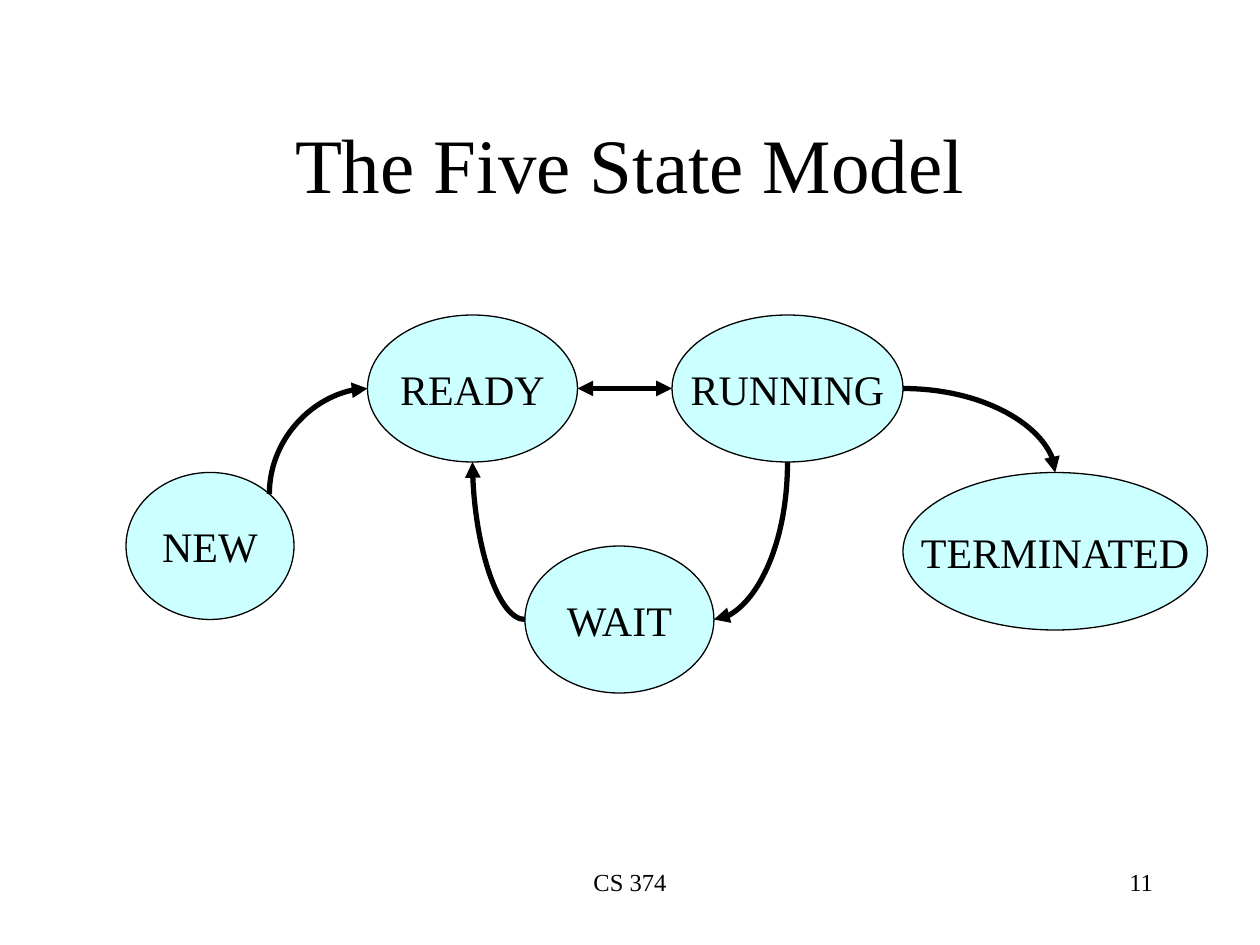
from math import cos, pi, sin

from lxml.etree import SubElement
from pptx import Presentation
from pptx.dml.color import RGBColor
from pptx.enum.shapes import MSO_CONNECTOR as CXN, MSO_SHAPE as SHAPE
from pptx.enum.text import MSO_ANCHOR as ANCHOR, MSO_AUTO_SIZE as FIT, PP_ALIGN as ALIGN
from pptx.oxml.ns import qn
from pptx.util import Inches, Pt

# Grid of 120 columns by 90 rows, each cell 1/12 inch
COLS, ROWS = 120, 90
FONT, BLACK, CYAN = "Times New Roman", "000000", "CCFFFF"

STATES = {  # column, row, width, height
    "NEW": (12, 45, 16, 14),
    "READY": (35, 30, 20, 14),
    "RUNNING": (64, 30, 22, 14),
    "WAIT": (50, 52, 18, 14),
    "TERMINATED": (86, 45, 29, 15),
}
# Angles of the points on an ellipse, clockwise from the right
RIGHT, BOTTOM, LEFT, TOP, TOP_RIGHT = 0, 90, 180, 270, 315
BENDS = [  # start state and point, end state and point, first heading
    ("NEW", TOP_RIGHT, "READY", LEFT, 270),
    ("RUNNING", BOTTOM, "WAIT", RIGHT, 90),
    ("WAIT", LEFT, "READY", BOTTOM, 180),
    ("RUNNING", RIGHT, "TERMINATED", TOP, 0),
]


def rgb(color):
    return RGBColor.from_string(color)


def grid(*cells):
    return [Inches(c / 12) for c in cells]


def write(tf, text, size=24, align=ALIGN.CENTER, anchor=ANCHOR.MIDDLE, wrap=True):
    tf.auto_size = FIT.NONE
    tf.word_wrap = wrap
    tf.vertical_anchor = anchor
    p = tf.paragraphs[0]
    p.alignment = align
    r = p.add_run()
    r.text = text
    r.font.size, r.font.name = Pt(size), FONT
    r.font.color.rgb = rgb(BLACK)


def add_title(s, box, text):
    title = s.shapes.title
    title.left, title.top, title.width, title.height = grid(*box)
    write(title.text_frame, text, size=44)


def add_footer(s, box, text, align):
    tb = s.shapes.add_textbox(*grid(*box))
    write(tb.text_frame, text, size=14, align=align, anchor=ANCHOR.TOP)


def add_state(s, box, name):
    sp = s.shapes.add_shape(SHAPE.OVAL, *grid(*box))
    sp.shadow.inherit = False
    sp.fill.solid()
    sp.fill.fore_color.rgb = rgb(CYAN)
    sp.line.color.rgb = rgb(BLACK)
    sp.line.width = Pt(0.75)
    write(sp.text_frame, name, wrap=False)


def point(name, angle):
    x, y, w, h = STATES[name]
    a = angle * pi / 180
    return x + w / 2 * (1 + cos(a)), y + h / 2 * (1 + sin(a))


def add_arrow(s, kind, start, end, heads=("tailEnd",)):
    cx = s.shapes.add_connector(kind, *grid(*start, *end))
    cx.line.color.rgb = rgb(BLACK)
    cx.line.width = Pt(3)
    ln = cx.line._get_or_add_ln()
    for head in heads:
        SubElement(ln, qn(f"a:{head}"), type="triangle")
    SubElement(cx._element.spPr, qn("a:effectLst"))
    return cx


def add_bend(s, start, end, heading):
    """Quarter curve that leaves along heading and turns clockwise."""
    (x1, y1), (x2, y2) = start, end
    w, h = abs(x2 - x1), abs(y2 - y1)
    if heading % 180:  # the box is given before its quarter turn
        w, h = h, w
    x, y = (x1 + x2 - w) / 2, (y1 + y2 - h) / 2
    cx = add_arrow(s, CXN.CURVE, (x, y), (x + w, y + h))
    spPr = cx._element.spPr
    spPr.find(qn("a:prstGeom")).set("prst", "curvedConnector2")
    spPr.find(qn("a:xfrm")).set("rot", str(heading * 60000))


def add_diagram(s):
    for name, box in STATES.items():
        add_state(s, box, name)
    for a, a_point, b, b_point, heading in BENDS:
        add_bend(s, point(a, a_point), point(b, b_point), heading)
    add_arrow(s, CXN.STRAIGHT, point("READY", RIGHT), point("RUNNING", LEFT),
              heads=("headEnd", "tailEnd"))


def main():
    prs = Presentation()
    prs.slide_width, prs.slide_height = grid(COLS, ROWS)
    s = prs.slides.add_slide(prs.slide_layouts[5])
    # Footer and slide number
    add_footer(s, (41, 82, 38, 6), "CS 374", ALIGN.CENTER)
    add_footer(s, (86, 82, 25, 6), "11", ALIGN.RIGHT)
    # Title and state diagram
    add_title(s, (9, 8, 102, 15), "The Five State Model")
    add_diagram(s)
    prs.save("out.pptx")


if __name__ == "__main__":
    main()
